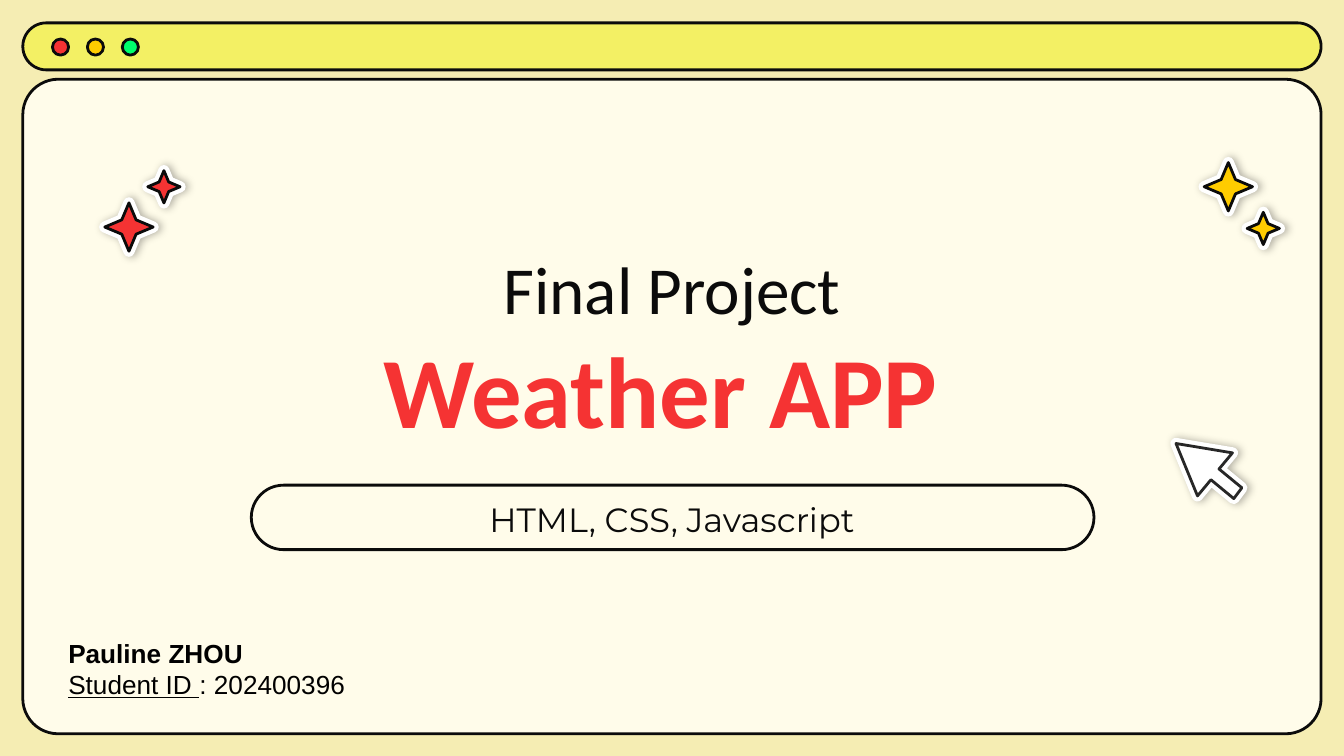
import dataclasses

import lxml.etree
import pptx
import pptx.dml.color
import pptx.enum.shapes
import pptx.enum.text
import pptx.oxml.ns
import pptx.util

Inches = pptx.util.Inches
Pt = pptx.util.Pt
Shape = pptx.enum.shapes.MSO_SHAPE
Align = pptx.enum.text.PP_ALIGN
Anchor = pptx.enum.text.MSO_ANCHOR
AutoSize = pptx.enum.text.MSO_AUTO_SIZE
qn = pptx.oxml.ns.qn


@dataclasses.dataclass(frozen=True)
class Theme:
    backdrop: str = "F5EDB3"
    paper: str = "FFFCEA"
    bar: str = "F3F064"
    ink: str = "0B0B0B"
    cursor_ink: str = "272727"
    red: str = "F53333"
    yellow: str = "FFCC00"
    green: str = "00FF6C"
    white: str = "FFFFFF"
    black: str = "000000"
    heading_font: str = "Calibri"
    topic_font: str = "Montserrat"
    author_font: str = "Arial"
    kicker_size: int = 36
    heading_size: int = 54
    topic_size: int = 18
    author_size: int = 14
    outline: float = 1.5
    halo: float = 6


def rgb(value):
    return pptx.dml.color.RGBColor.from_string(value)


def write(paragraph, text, *, font, size, color, bold=False, underline=False, align=None):
    if align is not None:
        paragraph.alignment = align
    run = paragraph.add_run()
    run.text = text
    run.font.name = font
    run.font.size = Pt(size)
    run.font.color.rgb = rgb(color)
    run.font.bold = bold
    run.font.underline = underline


class SlideBuilder:
    def __init__(self, slide, theme):
        self.slide = slide
        self.theme = theme
        slide.background.fill.solid()
        slide.background.fill.fore_color.rgb = rgb(theme.backdrop)

    def paint(self, shape, fill, line, width):
        shape.fill.solid()
        shape.fill.fore_color.rgb = rgb(fill)
        shape.line.color.rgb = rgb(line)
        shape.line.width = Pt(width)
        shape.shadow.inherit = False

    def shape(self, kind, box, fill, adjust=None):
        panel = self.slide.shapes.add_shape(kind, *map(Inches, box))
        if adjust is not None:
            panel.adjustments[0] = adjust
        self.paint(panel, fill, self.theme.ink, self.theme.outline)

    def sticker(self, draw, fill, line):
        halo = draw()
        self.paint(halo, self.theme.white, self.theme.white, self.theme.halo)
        properties = halo.element.spPr
        lxml.etree.SubElement(properties.find(qn("a:ln")), qn("a:round"))
        shadow = lxml.etree.SubElement(
            properties.find(qn("a:effectLst")), qn("a:outerShdw"),
            blurRad=str(Pt(4.5)), dist=str(Pt(1.5)), dir="0", algn="bl", rotWithShape="0")
        color = lxml.etree.SubElement(shadow, qn("a:srgbClr"), val=self.theme.black)
        lxml.etree.SubElement(color, qn("a:alpha"), val="29000")
        self.paint(draw(), fill, line, self.theme.outline)

    def sparkles(self, stars, fill):
        group = self.slide.shapes.add_group_shape()
        for left, top, side in stars:
            def draw():
                star = group.shapes.add_shape(
                    Shape.STAR_4_POINT, *map(Inches, (left, top, side, side)))
                star.adjustments[0] = 0.21
                return star
            self.sticker(draw, fill, self.theme.ink)

    def cursor(self, outline):
        group = self.slide.shapes.add_group_shape()
        corners = [(Inches(x), Inches(y)) for x, y in outline]

        def draw():
            pen = group.shapes.build_freeform(*corners[0])
            pen.add_line_segments(corners[1:], close=True)
            return pen.convert_to_shape()
        self.sticker(draw, self.theme.white, self.theme.cursor_ink)

    def title(self, box, kicker, heading):
        title = self.slide.shapes.title
        title.left, title.top, title.width, title.height = map(Inches, box)
        title.element.getparent().append(title.element)
        frame = title.text_frame
        self.inset(frame, 0.1)
        frame.word_wrap = True
        frame.auto_size = AutoSize.NONE
        frame.vertical_anchor = Anchor.BOTTOM
        paragraph = frame.paragraphs[0]
        write(paragraph, kicker, font=self.theme.heading_font,
              size=self.theme.kicker_size, color=self.theme.ink, align=Align.CENTER)
        paragraph.add_line_break()
        write(paragraph, heading, font=self.theme.heading_font,
              size=self.theme.heading_size, color=self.theme.red, bold=True)

    def text(self, box, lines, *, wrap=True, inset=None, fit=AutoSize.NONE, **style):
        frame = self.slide.shapes.add_textbox(*map(Inches, box)).text_frame
        frame.word_wrap = wrap
        frame.auto_size = fit
        if inset is not None:
            self.inset(frame, inset)
        for index, line in enumerate(lines):
            paragraph = frame.add_paragraph() if index else frame.paragraphs[0]
            for words, emphasis in line:
                write(paragraph, words, **style, **emphasis)

    def inset(self, frame, margin):
        frame.margin_left = frame.margin_right = Inches(margin)
        frame.margin_top = frame.margin_bottom = Inches(margin)


def main():
    theme = Theme()
    deck = pptx.Presentation()
    deck.slide_width = Inches(10)
    deck.slide_height = deck.slide_width * 9 // 16
    cover = SlideBuilder(deck.slides.add_slide(deck.slide_layouts[5]), theme)

    cover.shape(Shape.ROUNDED_RECTANGLE, (0.17, 0.59, 9.66, 4.87), theme.paper, 0.054)
    cover.shape(Shape.ROUNDED_RECTANGLE, (0.17, 0.17, 9.66, 0.35), theme.bar, 0.5)
    for index, color in enumerate((theme.red, theme.yellow, theme.green)):
        cover.shape(Shape.OVAL, (0.39 + 0.26 * index, 0.29, 0.12, 0.12), color)
    cover.shape(Shape.ROUNDED_RECTANGLE, (1.87, 3.61, 6.27, 0.48), theme.paper, 0.5)

    cover.title((1.54, 1.44, 6.92, 2), "Final Project", "Weather APP ")
    cover.text((2.14, 3.61, 5.72, 0.48), [[("HTML, CSS, Javascript", {})]], inset=0.1,
               font=theme.topic_font, size=theme.topic_size, color=theme.ink,
               align=Align.CENTER)

    cover.cursor([(9.01, 3.57), (8.91, 3.69), (8.75, 3.3), (9.17, 3.37),
                  (9.07, 3.49), (9.24, 3.63), (9.18, 3.71)])
    cover.sparkles([(8.96, 1.21, 0.36), (9.28, 1.58, 0.24)], theme.yellow)
    cover.sparkles([(0.78, 1.51, 0.36), (1.1, 1.27, 0.24)], theme.red)

    cover.text((0.41, 4.69, 2.27, 0.57),
               [[("Pauline ZHOU", {"bold": True})],
                [("Student ID ", {"underline": True}), (": 202400396", {})]],
               wrap=False, fit=AutoSize.SHAPE_TO_FIT_TEXT,
               font=theme.author_font, size=theme.author_size, color=theme.black)

    deck.save("out.pptx")


if __name__ == "__main__":
    main()
